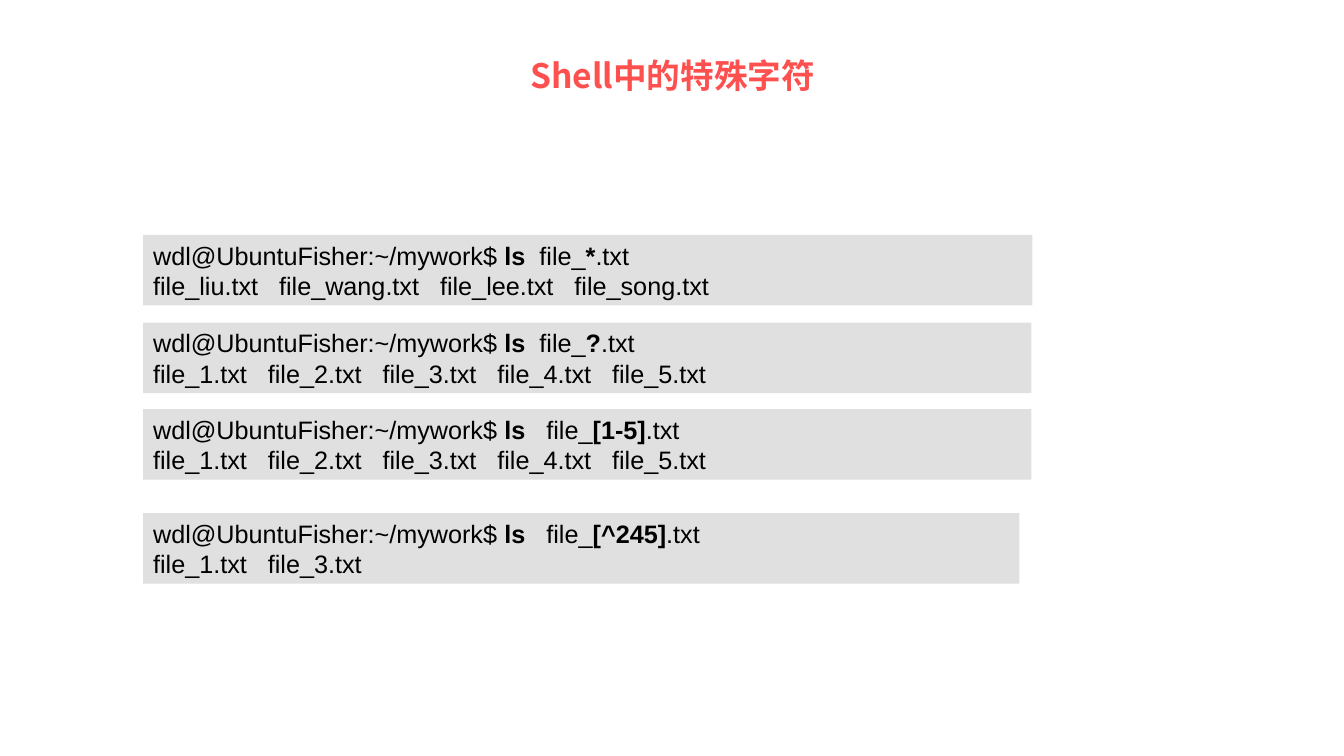
"""Build a slide on special characters in the shell."""
from dataclasses import dataclass

from lxml import etree
from pptx import Presentation
from pptx.dml.color import RGBColor
from pptx.enum.shapes import MSO_SHAPE
from pptx.enum.text import MSO_ANCHOR, MSO_AUTO_SIZE, PP_ALIGN
from pptx.oxml.ns import qn
from pptx.slide import Slide
from pptx.text.text import Font
from pptx.util import Inches, Pt

RECTANGLE = MSO_SHAPE.RECTANGLE
MIDDLE = MSO_ANCHOR.MIDDLE
NO_AUTOFIT = MSO_AUTO_SIZE.NONE
CENTER, LEFT = PP_ALIGN.CENTER, PP_ALIGN.LEFT

TITLE_FONT = "Noto Sans CJK SC"
TERMINAL_FONT = "Arial"
RED, GRAY, BLACK = "FF5050", "E0E0E0", "000000"
PROMPT = "wdl@UbuntuFisher:~/mywork$ "
NUMBERED_FILES = "   ".join(f"file_{number}.txt" for number in range(1, 6))
TERMINAL_LEFT, TERMINAL_HEIGHT = 1.42, 0.7


@dataclass(frozen=True)
class Terminal:
    top: float
    width: float
    gap: str
    pattern: str
    output: str


TERMINALS = (
    Terminal(2.33, 8.82, "  ", "*",
             "file_liu.txt   file_wang.txt   file_lee.txt   file_song.txt"),
    Terminal(3.2, 8.81, "  ", "?", NUMBERED_FILES),
    Terminal(4.06, 8.81, "   ", "[1-5]", NUMBERED_FILES),
    Terminal(5.09, 8.69, "   ", "[^245]", "file_1.txt   file_3.txt"),
)


def color(value: str) -> RGBColor:
    return RGBColor.from_string(value)


def format_font(font: Font, name: str, size: float, value: str, bold: bool) -> None:
    font.name = name
    font.size = Pt(size)
    font.color.rgb = color(value)
    font.bold = bold


def add_title(slide: Slide, text: str) -> None:
    title = slide.shapes.title
    title.left, title.top = Inches(0.83), Inches(0.51)
    title.width, title.height = Inches(11.68), Inches(0.46)
    frame = title.text_frame
    frame.text = text
    frame.auto_size = NO_AUTOFIT
    frame.vertical_anchor = MIDDLE
    paragraph = frame.paragraphs[0]
    paragraph.alignment = CENTER
    run = paragraph.runs[0]
    format_font(run.font, TITLE_FONT, 24, RED, True)
    latin = run.font._element.find(qn("a:latin"))
    east_asian = etree.Element(qn("a:ea"), typeface=TITLE_FONT)
    latin.addnext(east_asian)


def add_terminal(slide: Slide, terminal: Terminal) -> None:
    shape = slide.shapes.add_shape(
        RECTANGLE, Inches(TERMINAL_LEFT), Inches(terminal.top),
        Inches(terminal.width), Inches(TERMINAL_HEIGHT))
    shape.shadow.inherit = False
    shape.fill.solid()
    shape.fill.fore_color.rgb = color(GRAY)
    shape.line.fill.background()
    frame = shape.text_frame
    frame.word_wrap = True
    frame.vertical_anchor = MIDDLE
    command = (
        (PROMPT, False), ("ls", True), (f"{terminal.gap}file_", False),
        (terminal.pattern, True), (".txt", False))
    output = ((terminal.output, False),)
    for paragraph, parts in (
            (frame.paragraphs[0], command), (frame.add_paragraph(), output)):
        paragraph.alignment = LEFT
        for text, bold in parts:
            run = paragraph.add_run()
            run.text = text
            format_font(run.font, TERMINAL_FONT, 18, BLACK, bold)


def main() -> None:
    presentation = Presentation()
    presentation.slide_width = Inches(13.33)
    presentation.slide_height = Inches(7.5)
    slide = presentation.slides.add_slide(presentation.slide_layouts[5])
    add_title(slide, "Shell中的特殊字符")
    for terminal in TERMINALS:
        add_terminal(slide, terminal)
    presentation.save("out.pptx")


if __name__ == "__main__":
    main()
